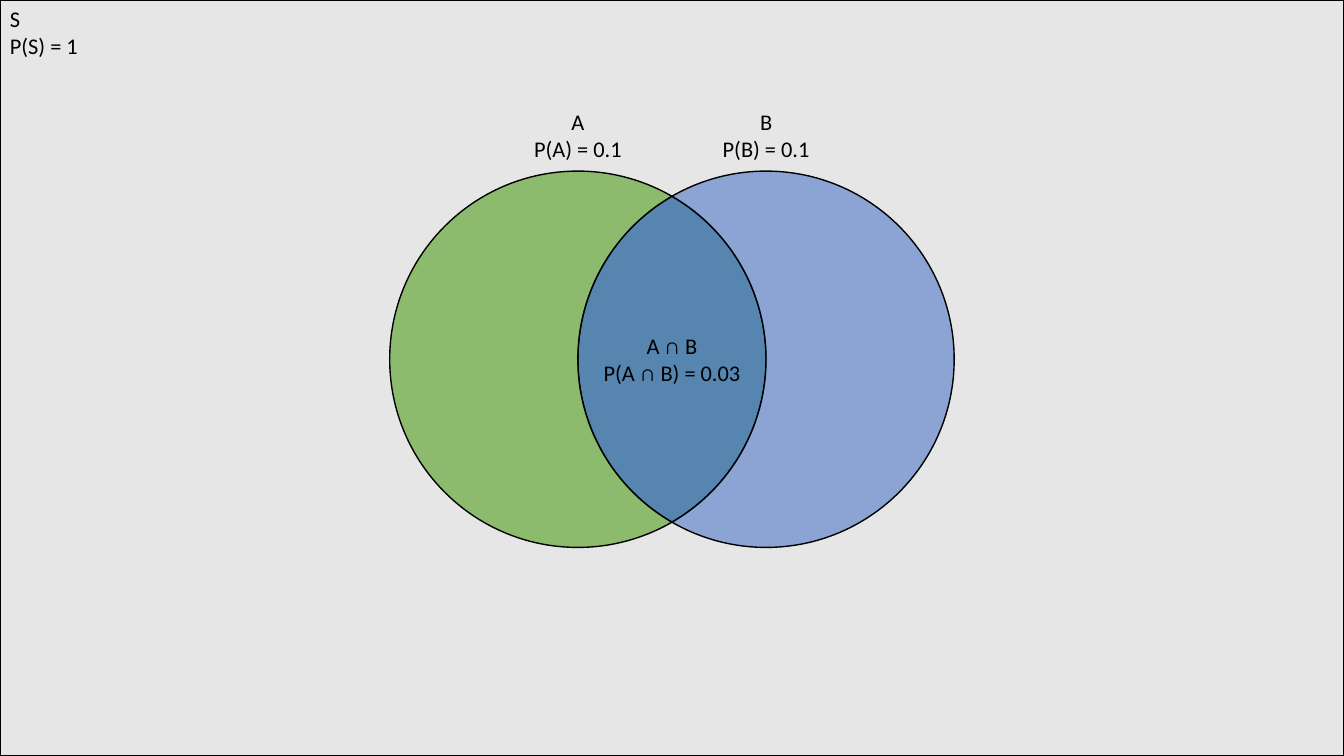
from dataclasses import dataclass
from itertools import pairwise
from math import cos, radians, sin, tan

from lxml.etree import SubElement
from pptx import Presentation
from pptx.dml.color import RGBColor
from pptx.enum.shapes import MSO_SHAPE
from pptx.enum.text import MSO_ANCHOR, MSO_AUTO_SIZE, PP_ALIGN
from pptx.oxml.ns import qn
from pptx.shapes.autoshape import Shape
from pptx.slide import Slide
from pptx.util import Pt


@dataclass(frozen=True)
class Theme:
    ink: str = "000000"
    space: str = "E7E6E6"
    event_a: str = "70AD47"
    event_b: str = "6D8FCD"
    overlap: str = "5685AF"
    font: str = "Calibri"
    size: int = 16
    line: float = 1


@dataclass(frozen=True)
class Arc:
    """Part of a circle, through angles in degrees clockwise from the right."""
    center_x: float
    angles: tuple[int, ...]


@dataclass(frozen=True)
class Region:
    arcs: tuple[Arc, Arc]
    fill: str
    opacity: int = 100


@dataclass(frozen=True)
class Label:
    text: str
    left: float
    top: float
    width: float
    align: PP_ALIGN = PP_ALIGN.CENTER
    anchor: MSO_ANCHOR = MSO_ANCHOR.MIDDLE


Point = tuple[int, int]
THEME = Theme()
WIDTH, HEIGHT = 960, 540
RADIUS = 134.4
CENTER_Y = 256.6
A_X, B_X = WIDTH / 2 - RADIUS / 2, WIDTH / 2 + RADIUS / 2
LABEL_HEIGHT = 46
EVENT_WIDTH, OVERLAP_WIDTH = 96, 139
EVENT_TOP = 73.6

# Each circle passes through the other's centre, so they cross at 60 degrees.
REGIONS = (
    Region((Arc(A_X, (-60, 0, 60)), Arc(B_X, (120, 180, 240))), THEME.overlap),
    Region((Arc(B_X, (-120, -90, 0, 90, 120)), Arc(A_X, (60, 0, -60))),
           THEME.event_b, 75),
    Region((Arc(A_X, (60, 90, 180, 270, 300)), Arc(B_X, (240, 180, 120))),
           THEME.event_a, 75),
)
LABELS = (
    Label("S\nP(S) = 1", 0, 0, 211, PP_ALIGN.LEFT, MSO_ANCHOR.TOP),
    Label("A\nP(A) = 0.1", A_X - EVENT_WIDTH / 2, EVENT_TOP, EVENT_WIDTH),
    Label("A ∩ B\nP(A ∩ B) = 0.03", (WIDTH - OVERLAP_WIDTH) / 2,
          CENTER_Y - LABEL_HEIGHT / 2, OVERLAP_WIDTH),
    Label("B\nP(B) = 0.1", B_X - EVENT_WIDTH / 2, EVENT_TOP, EVENT_WIDTH),
)


def arc_point(center_x: float, angle: int, handle: float = 0) -> Point:
    """Point on a circle, moved along its tangent by handle radii."""
    c, s = cos(radians(angle)), sin(radians(angle))
    return (Pt(center_x + RADIUS * (c - handle * s)),
            Pt(CENTER_Y + RADIUS * (s + handle * c)))


def arc_curves(arc: Arc) -> list[tuple[Point, Point, Point]]:
    """Two control points and the end point of each Bézier piece."""
    curves = []
    for start, end in pairwise(arc.angles):
        handle = 4 / 3 * tan(radians(end - start) / 4)
        curves.append((arc_point(arc.center_x, start, handle),
                       arc_point(arc.center_x, end, -handle),
                       arc_point(arc.center_x, end)))
    return curves


def style(sp: Shape, fill: str, opacity: int = 100) -> None:
    sp.shadow.inherit = False
    sp.fill.solid()
    sp.fill.fore_color.rgb = RGBColor.from_string(fill)
    sp.line.color.rgb = RGBColor.from_string(THEME.ink)
    sp.line.width = Pt(THEME.line)
    if opacity < 100:
        color = sp.fill._xPr.find(qn("a:solidFill"))[0]
        SubElement(color, qn("a:alpha"), val=str(opacity * 1000))


def draw_region(s: Slide, region: Region) -> None:
    first = region.arcs[0]
    curves = [curve for arc in region.arcs for curve in arc_curves(arc)]
    builder = s.shapes.build_freeform(*arc_point(first.center_x, first.angles[0]))
    builder.add_line_segments([end for _, _, end in curves], close=True)
    sp = builder.convert_to_shape()
    segments = list(sp._element.iter(qn("a:lnTo")))
    for segment, curve in zip(segments, curves):
        segment.tag = qn("a:cubicBezTo")
        segment.remove(segment[0])
        for x, y in curve:
            SubElement(segment, qn("a:pt"), x=str(x - sp.left), y=str(y - sp.top))
    style(sp, region.fill, region.opacity)


def draw_label(s: Slide, label: Label) -> None:
    box = s.shapes.add_textbox(Pt(label.left), Pt(label.top),
                               Pt(label.width), Pt(LABEL_HEIGHT))
    tf = box.text_frame
    frame_format = {"word_wrap": True, "vertical_anchor": label.anchor,
                    "auto_size": MSO_AUTO_SIZE.SHAPE_TO_FIT_TEXT}
    for name, value in frame_format.items():
        setattr(tf, name, value)
    p = tf.paragraphs[0]
    p.alignment = label.align
    p.text = label.text
    for br in p._p.findall(qn("a:br")):
        SubElement(br, qn("a:rPr"), sz=str(THEME.size * 100))
    for r in p.runs:
        for name, value in {"name": THEME.font, "size": Pt(THEME.size)}.items():
            setattr(r.font, name, value)
        r.font.color.rgb = RGBColor.from_string(THEME.ink)


def main() -> None:
    prs = Presentation()
    prs.slide_width, prs.slide_height = Pt(WIDTH), Pt(HEIGHT)
    s = prs.slides.add_slide(prs.slide_layouts[6])
    space = s.shapes.add_shape(MSO_SHAPE.RECTANGLE, 0, 0, Pt(WIDTH), Pt(HEIGHT))
    style(space, THEME.space)
    for region in REGIONS:
        draw_region(s, region)
    for label in LABELS:
        draw_label(s, label)
    prs.save("out.pptx")


if __name__ == "__main__":
    main()
